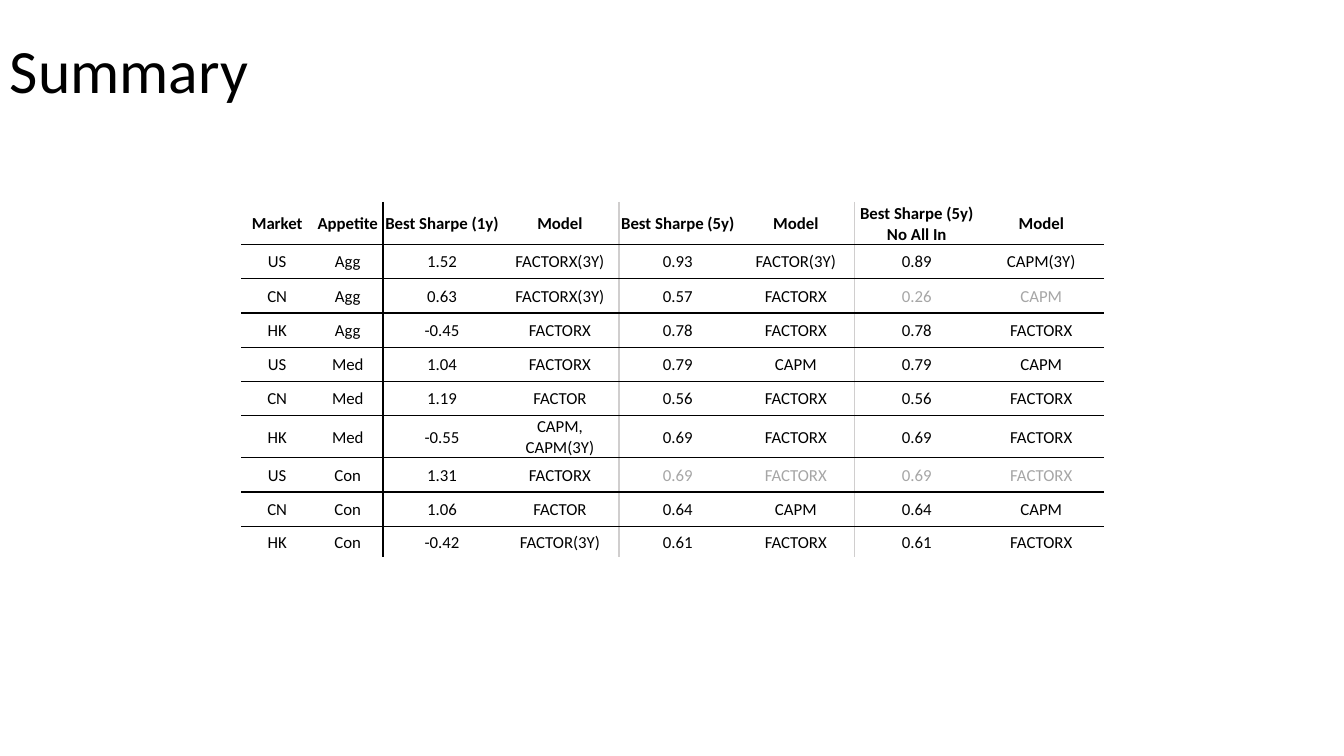
from lxml.etree import SubElement
from pptx import Presentation
from pptx.dml.color import RGBColor
from pptx.enum.text import MSO_ANCHOR, PP_ALIGN
from pptx.oxml.ns import qn
from pptx.util import Inches, Pt

COLORS = {"ink": "000000", "muted": "A6A6A6", "divider": "D0CECE", "paper": "FFFFFF"}
FONT = "Calibri"
NO_STYLE = "{2D5ABB26-0587-4C30-8999-92F81FD0307C}"
SLIDE_WIDTH, SLIDE_HEIGHT = 13.33, 7.5

COLUMN_WIDTHS = [0.7, 0.7, 1.17, 1.17, 1.17, 1.17, 1.23, 1.24]
ROW_HEIGHTS = [0.34] * 9 + [0.31]
# Colours of the vertical edges, from the left side of the table to its right side
COLUMN_EDGES = ["paper", "paper", "ink", None, "divider", "paper", "divider", "paper", "paper"]
ROW_EDGES = ["paper"] + ["ink"] * 9 + ["paper"]

RESULTS = [
    ["Market", "Appetite", "Best Sharpe (1y)", "Model", "Best Sharpe (5y)", "Model",
     "Best Sharpe (5y) No All In", "Model"],
    ["US", "Agg", "1.52", "FACTORX(3Y)", "0.93", "FACTOR(3Y)", "0.89", "CAPM(3Y)"],
    ["CN", "Agg", "0.63", "FACTORX(3Y)", "0.57", "FACTORX", "0.26", "CAPM"],
    ["HK", "Agg", "-0.45", "FACTORX", "0.78", "FACTORX", "0.78", "FACTORX"],
    ["US", "Med", "1.04", "FACTORX", "0.79", "CAPM", "0.79", "CAPM"],
    ["CN", "Med", "1.19", "FACTOR", "0.56", "FACTORX", "0.56", "FACTORX"],
    ["HK", "Med", "-0.55", "CAPM, CAPM(3Y)", "0.69", "FACTORX", "0.69", "FACTORX"],
    ["US", "Con", "1.31", "FACTORX", "0.69", "FACTORX", "0.69", "FACTORX"],
    ["CN", "Con", "1.06", "FACTOR", "0.64", "CAPM", "0.64", "CAPM"],
    ["HK", "Con", "-0.42", "FACTOR(3Y)", "0.61", "FACTORX", "0.61", "FACTORX"],
]
# Row number: first column shown in the muted colour
MUTED_FROM = {2: 6, 7: 4}


def write(frame, text, size, color="ink", bold=False, align=PP_ALIGN.LEFT, spacing=None):
    paragraph = frame.paragraphs[0]
    paragraph.alignment = align
    paragraph.line_spacing = spacing
    run = paragraph.add_run()
    run.text = text
    run.font.name = FONT
    run.font.size = Pt(size)
    run.font.bold = bold
    run.font.color.rgb = RGBColor.from_string(COLORS[color])


def set_borders(cell, **edges):
    """Draw 1 pt edges, given in the order left, right, top, bottom; None draws no line."""
    properties = cell._tc.get_or_add_tcPr()
    for side, color in edges.items():
        line = SubElement(properties, qn(f"a:ln{side}"), w=str(Pt(1) if color else 0))
        if color:
            fill = SubElement(line, qn("a:solidFill"))
            SubElement(fill, qn("a:srgbClr"), val=COLORS[color])
        else:
            SubElement(line, qn("a:noFill"))


def add_title(slide, text):
    box = slide.shapes.add_textbox(0, 0, Inches(11.5), Inches(1.45))
    frame = box.text_frame
    frame.word_wrap = True
    frame.vertical_anchor = MSO_ANCHOR.MIDDLE
    write(frame, text, 44, spacing=0.9)


def add_results_table(slide, left, top):
    frame = slide.shapes.add_table(
        len(RESULTS), len(COLUMN_WIDTHS), Inches(left), Inches(top),
        Inches(sum(COLUMN_WIDTHS)), Inches(sum(ROW_HEIGHTS)))
    table = frame.table
    table.horz_banding = False
    table._tbl.tblPr.find(qn("a:tableStyleId")).text = NO_STYLE
    for column, width in zip(table.columns, COLUMN_WIDTHS):
        column.width = Inches(width)
    for row, height in zip(table.rows, ROW_HEIGHTS):
        row.height = Inches(height)

    for r, values in enumerate(RESULTS):
        for c, value in enumerate(values):
            cell = table.cell(r, c)
            cell.vertical_anchor = MSO_ANCHOR.MIDDLE
            cell.margin_left = cell.margin_right = cell.margin_top = Inches(0.01)
            cell.margin_bottom = 0
            set_borders(cell, L=COLUMN_EDGES[c], R=COLUMN_EDGES[c + 1],
                        T=ROW_EDGES[r], B=ROW_EDGES[r + 1])
            cell.fill.background()
            muted = c >= MUTED_FROM.get(r, len(values))
            write(cell.text_frame, value, 12, color="muted" if muted else "ink",
                  bold=r == 0, align=PP_ALIGN.CENTER)


def main():
    deck = Presentation()
    deck.slide_width, deck.slide_height = Inches(SLIDE_WIDTH), Inches(SLIDE_HEIGHT)
    slide = deck.slides.add_slide(deck.slide_layouts[6])
    add_results_table(slide, left=0.18 * SLIDE_WIDTH, top=0.268 * SLIDE_HEIGHT)
    add_title(slide, "Summary")
    deck.save("out.pptx")


if __name__ == "__main__":
    main()
